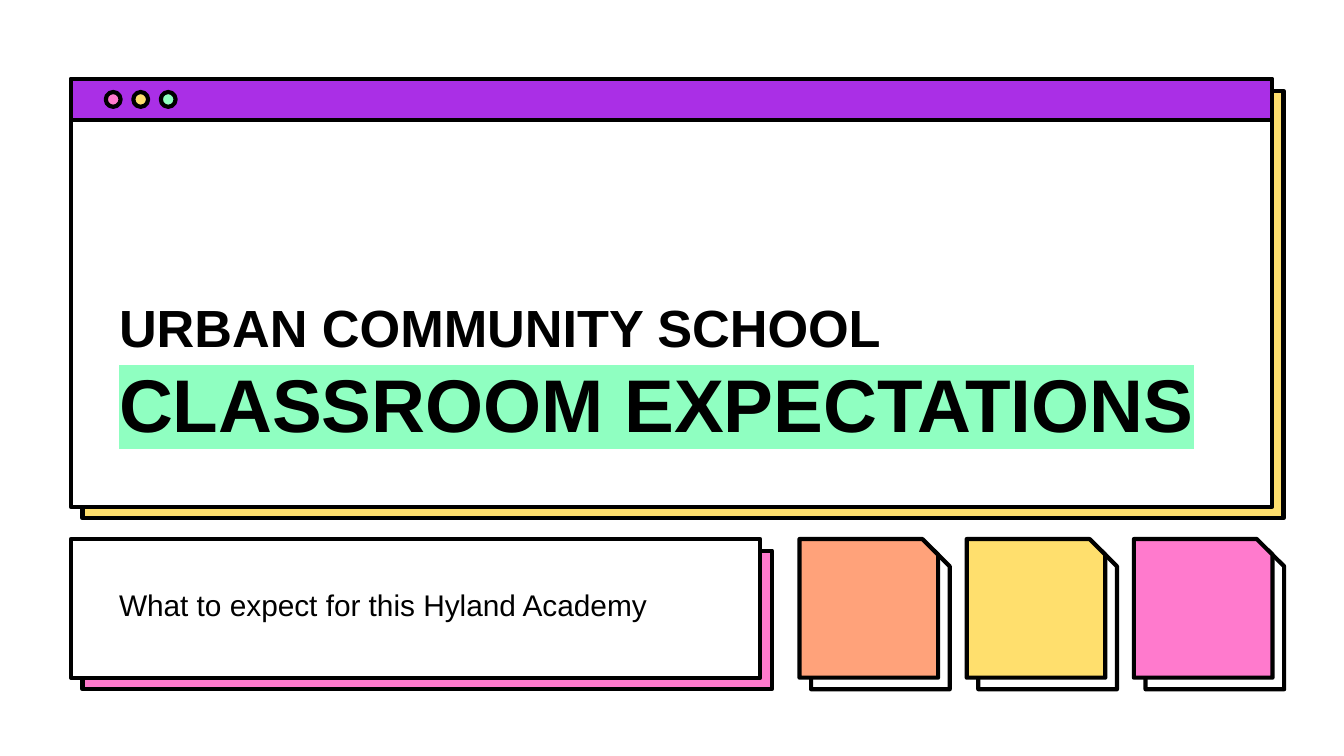
from lxml import etree
from pptx import Presentation
from pptx.dml.color import RGBColor
from pptx.enum.shapes import MSO_SHAPE
from pptx.enum.text import MSO_ANCHOR
from pptx.oxml.ns import qn
from pptx.util import Cm, Pt

RECT = MSO_SHAPE.RECTANGLE
OVAL = MSO_SHAPE.OVAL
SNIP = MSO_SHAPE.SNIP_1_RECTANGLE
TOP, BOTTOM = MSO_ANCHOR.TOP, MSO_ANCHOR.BOTTOM

BLACK, WHITE = "000000", "FFFFFF"
PURPLE, PINK, YELLOW = "AA2FE6", "FF7ACD", "FFDF6D"
MINT, ORANGE = "8FFFC1", "FFA27A"


def rgb(color):
    return RGBColor.from_string(color)


class Deck:
    font = "Arial"
    line_width = Pt(2.25)
    offset = 0.22
    inset = Cm(0.25)

    def __init__(self, width, height):
        self.prs = Presentation()
        self.prs.slide_width, self.prs.slide_height = Cm(width), Cm(height)
        self.s = self.prs.slides.add_slide(self.prs.slide_layouts[6])

    def shape(self, kind, x, y, w, h, fill):
        sp = self.s.shapes.add_shape(kind, Cm(x), Cm(y), Cm(w), Cm(h))
        sp.shadow.inherit = False
        sp.fill.solid()
        sp.fill.fore_color.rgb = rgb(fill)
        sp.line.color.rgb = rgb(BLACK)
        sp.line.width = self.line_width
        etree.SubElement(sp.line._get_or_add_ln(), qn("a:round"))
        if kind == SNIP:
            sp.adjustments[0] = 0.113
        return sp

    def card(self, kind, x, y, w, h, front, back):
        """A panel with an offset copy behind it as a hard shadow."""
        self.shape(kind, x + self.offset, y + self.offset, w, h, back)
        self.shape(kind, x, y, w, h, front)

    def text(self, x, y, w, h, lines, anchor=TOP):
        """Each line is (text, size, bold, highlight or None)."""
        tf = self.s.shapes.add_textbox(Cm(x), Cm(y), Cm(w), Cm(h)).text_frame
        tf.word_wrap = True
        tf.vertical_anchor = anchor
        tf.margin_left = tf.margin_right = self.inset
        tf.margin_top = tf.margin_bottom = self.inset
        p = tf.paragraphs[0]
        for i, (words, size, bold, highlight) in enumerate(lines):
            if i:
                p.add_line_break()
            r = p.add_run()
            r.text = words
            r.font.size, r.font.bold = Pt(size), bold
            r.font.color.rgb = rgb(BLACK)
            r.font.name = self.font
            if highlight:
                mark = etree.Element(qn("a:highlight"))
                etree.SubElement(mark, qn("a:srgbClr"), val=highlight)
                r.font._element.find(qn("a:solidFill")).addnext(mark)


def main():
    deck = Deck(25.4, 14.29)
    left, text_left = 1.34, 2.0
    top, row_top = 1.5, 10.19
    width, row_height = 22.7, 2.62

    # Browser window with title bar and buttons
    deck.card(RECT, left, top, width, 8.08, WHITE, YELLOW)
    deck.shape(RECT, left, top, width, 0.77, PURPLE)
    for i, color in enumerate((PINK, YELLOW, MINT)):
        deck.shape(OVAL, text_left + i * 0.52, 1.74, 0.28, 0.28, color)

    # Title
    deck.text(text_left, 3.14, 21.42, 5.57, [
        ("URBAN COMMUNITY SCHOOL", 28, True, None),
        ("CLASSROOM EXPECTATIONS", 40, True, MINT),
    ], BOTTOM)

    # Subtitle panel
    deck.card(RECT, left, row_top, 13.03, row_height, WHITE, PINK)
    deck.text(text_left, 10.84, 11.53, 1.25, [
        ("What to expect for this Hyland Academy", 16, False, None),
    ])

    # Sticky notes
    for i, color in enumerate((ORANGE, YELLOW, PINK)):
        deck.card(SNIP, 15.11 + i * 3.16, row_top, row_height, row_height,
                  color, WHITE)

    deck.prs.save("out.pptx")


if __name__ == "__main__":
    main()
